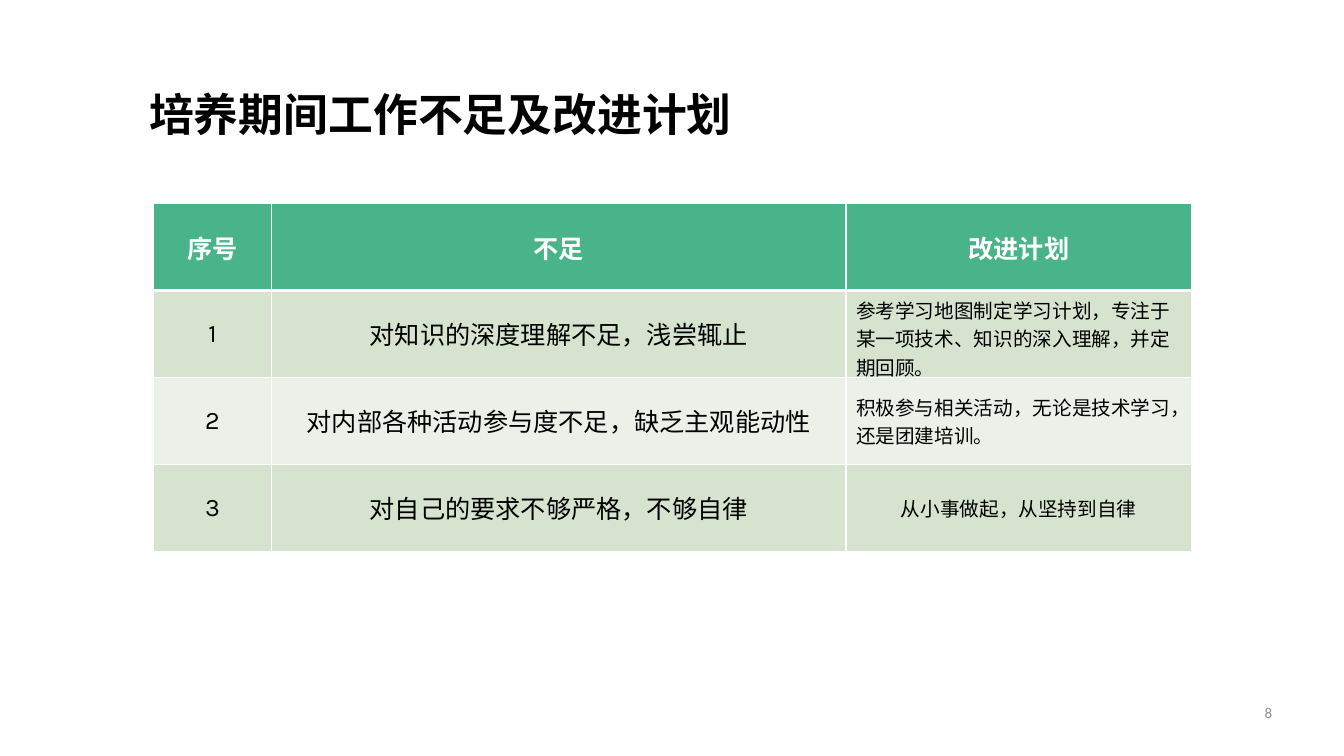
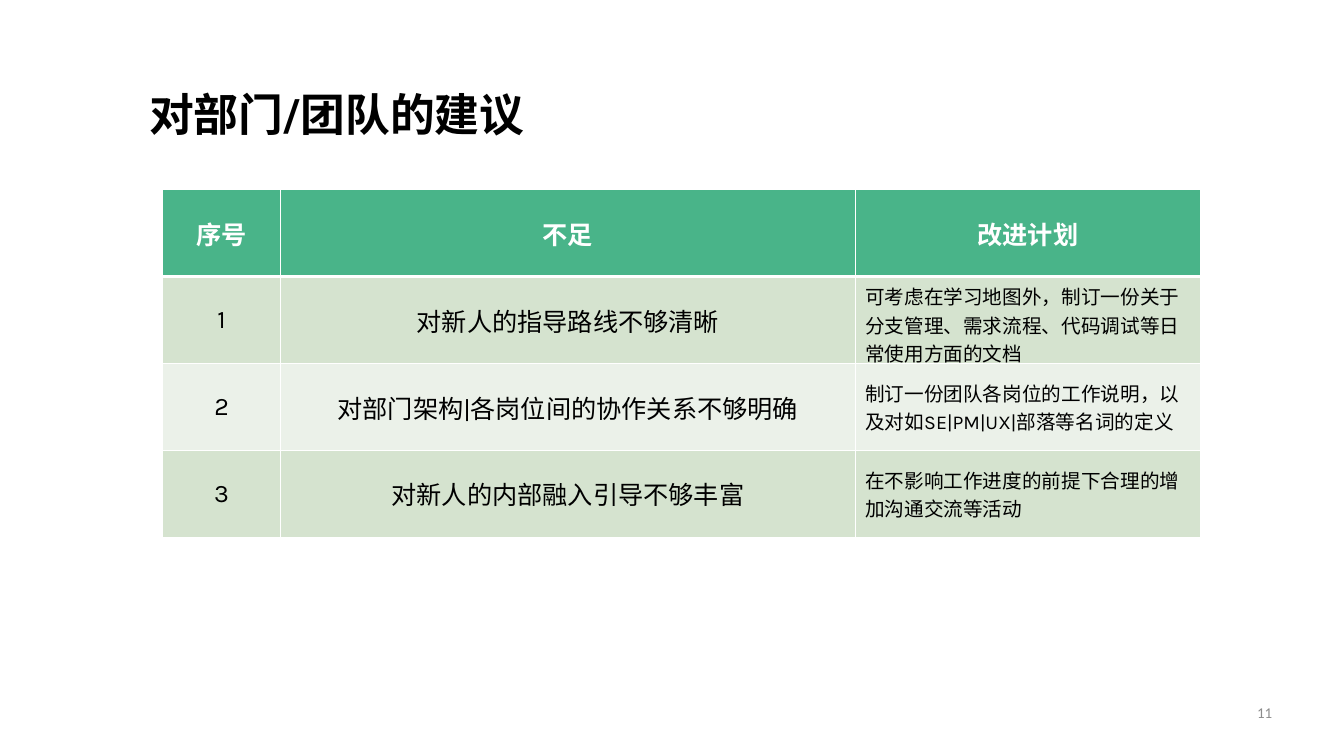
import pptx
import pptx.util
import pptx.dml.color
import pptx.enum.text
import pptx.oxml
import pptx.oxml.ns

Cm = pptx.util.Cm
Pt = pptx.util.Pt
RGBColor = pptx.dml.color.RGBColor
PP_ALIGN = pptx.enum.text.PP_ALIGN

BLACK = RGBColor(0x00, 0x00, 0x00)
WHITE = RGBColor(0xFF, 0xFF, 0xFF)
GRAY = RGBColor(0x8C, 0x8C, 0x8C)
GREEN = RGBColor(0x49, 0xB4, 0x89)
BAND_DARK = RGBColor(0xD5, 0xE3, 0xCF)
BAND_LIGHT = RGBColor(0xEB, 0xF1, 0xE9)

HEADER = ("序号", "不足", "改进计划")
COL_WIDTHS = (Cm(2.97), Cm(14.48), Cm(8.71))
ROW_HEIGHT = Cm(2.19)

SLIDES = [
    ("培养期间工作不足及改进计划", "8", Cm(3.87), Cm(5.13), [
        ("对知识的深度理解不足，浅尝辄止",
         "参考学习地图制定学习计划，专注于某一项技术、知识的深入理解，并定期回顾。", PP_ALIGN.LEFT),
        ("对内部各种活动参与度不足，缺乏主观能动性",
         "积极参与相关活动，无论是技术学习，还是团建培训。", PP_ALIGN.LEFT),
        ("对自己的要求不够严格，不够自律",
         "从小事做起，从坚持到自律", PP_ALIGN.CENTER),
    ]),
    ("对部门/团队的建议", "11", Cm(4.1), Cm(4.78), [
        ("对新人的指导路线不够清晰",
         "可考虑在学习地图外，制订一份关于分支管理、需求流程、代码调试等日常使用方面的文档", PP_ALIGN.LEFT),
        ("对部门架构|各岗位间的协作关系不够明确",
         "制订一份团队各岗位的工作说明，以及对如SE|PM|UX|部落等名词的定义", PP_ALIGN.LEFT),
        ("对新人的内部融入引导不够丰富",
         "在不影响工作进度的前提下合理的增加沟通交流等活动", PP_ALIGN.LEFT),
    ]),
]


def style_text(p, text, font, size, color, bold=False, align=PP_ALIGN.LEFT):
    p.text = text
    p.alignment = align
    p.font.name = font
    p.font.size = Pt(size)
    p.font.color.rgb = color
    p.font.bold = bold


def set_borders(cell, widths):
    tcPr = cell._tc.get_or_add_tcPr()
    for i, (side, width) in enumerate(widths.items()):
        ln = pptx.oxml.parse_xml(
            f'<a:{side} {pptx.oxml.ns.nsdecls("a")} w="{Pt(width)}">'
            f'<a:solidFill><a:srgbClr val="{WHITE}"/></a:solidFill></a:{side}>')
        tcPr.insert(i, ln)


prs = pptx.Presentation()
prs.slide_width = Cm(33.87)
prs.slide_height = Cm(19.05)

for title, number, left, top, items in SLIDES:
    s = prs.slides.add_slide(prs.slide_layouts[6])

    sp = s.shapes.add_textbox(Cm(29.06), Cm(17.6), Cm(3), Cm(0.71))
    tf = sp.text_frame
    tf.word_wrap = True
    tf.margin_right = 0
    style_text(tf.paragraphs[0], number, "Calibri", 10.7, GRAY, align=PP_ALIGN.RIGHT)

    sp = s.shapes.add_textbox(Cm(3.43), Cm(2.18), Cm(21.84), Cm(1.68))
    tf = sp.text_frame
    tf.word_wrap = True
    tf.margin_left = Cm(0.33)
    tf.margin_top = tf.margin_right = tf.margin_bottom = 0
    style_text(tf.paragraphs[0], title, "Roboto", 32, BLACK, bold=True)

    rows = [HEADER] + [(str(i), lack, plan) for i, (lack, plan, align) in enumerate(items, 1)]
    table = s.shapes.add_table(len(rows), len(HEADER), left, top,
                               sum(COL_WIDTHS), ROW_HEIGHT * len(rows)).table
    for column, width in zip(table.columns, COL_WIDTHS):
        column.width = width
    for i, row in enumerate(rows):
        table.rows[i].height = ROW_HEIGHT
        for j, text in enumerate(row):
            is_header = i == 0
            is_plan = i > 0 and j == 2
            cell = table.cell(i, j)
            cell.vertical_anchor = pptx.enum.text.MSO_ANCHOR.MIDDLE
            cell.fill.solid()
            cell.fill.fore_color.rgb = GREEN if is_header else (BAND_LIGHT, BAND_DARK)[i % 2]
            style_text(cell.text_frame.paragraphs[0], text, "Karla",
                       14 if is_plan else 18, WHITE if is_header else BLACK,
                       bold=is_header, align=items[i - 1][2] if is_plan else PP_ALIGN.CENTER)
            set_borders(cell, {"lnL": 1, "lnR": 1, "lnT": 3 if i == 1 else 1,
                               "lnB": 3 if is_header else 1})

prs.save("out.pptx")
